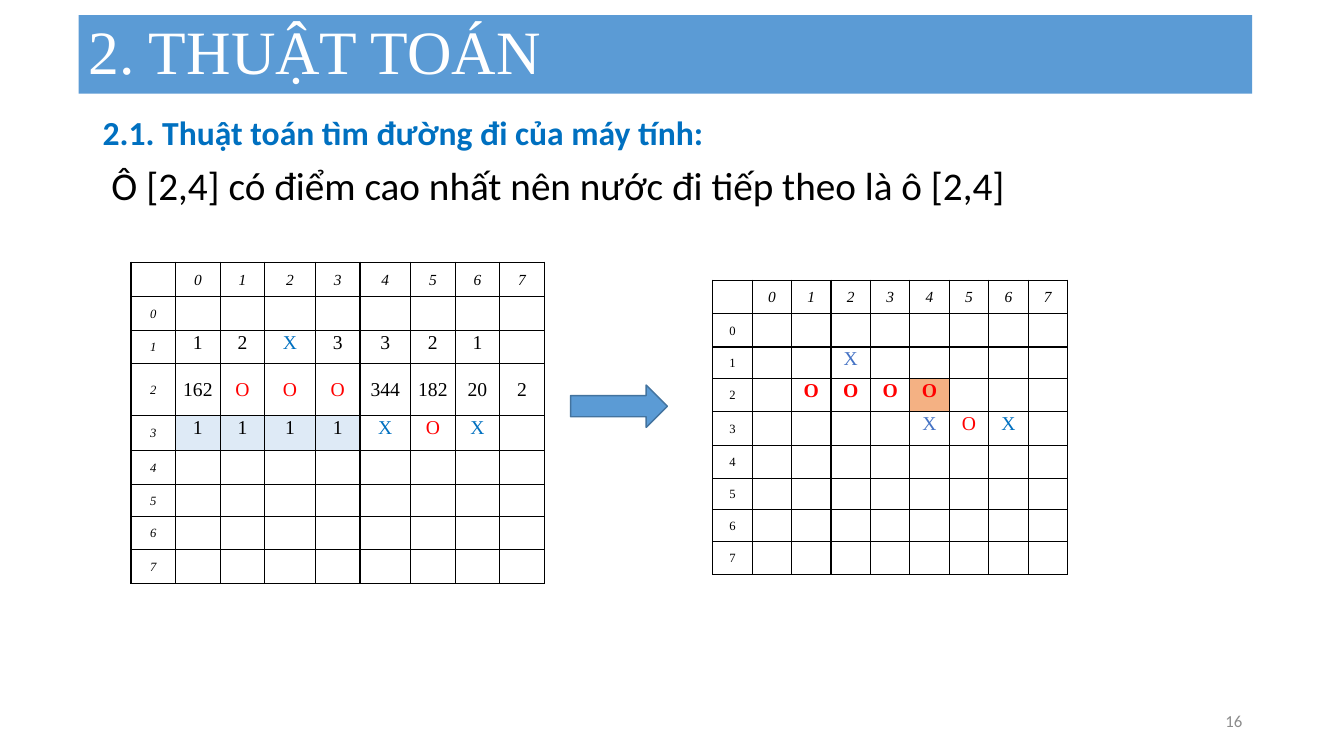
from lxml import etree
from pptx import Presentation
from pptx.dml.color import RGBColor as RGB
from pptx.enum.shapes import MSO_SHAPE as SHAPE
from pptx.enum.text import MSO_ANCHOR as ANCHOR, PP_ALIGN as ALIGN
from pptx.oxml import parse_xml
from pptx.util import Inches, Pt

COLORS = {
    "bar": "5B9BD5", "arrow_line": "43739E", "heading": "0070C0",
    "text": "000000", "title": "FFFFFF", "number": "8C8C8C",
    "X": "0070C0", "O": "FF0000", "new_X": "4472C4",
    "scored": "DEEAF6", "chosen": "F4B183",
}
NS = "http://schemas.openxmlformats.org/drawingml/2006/main"

prs = Presentation()
prs.slide_width, prs.slide_height = Inches(13.333), Inches(7.5)
slide = prs.slides.add_slide(prs.slide_layouts[6])


def place(left, top, width, height):
    """Turn percentages of the slide's size into a position and size."""
    sides = (prs.slide_width, prs.slide_height) * 2
    return [int(side * share / 100) for side, share in zip(sides, (left, top, width, height))]


def write(p, text, size, color, name="Calibri", bold=False, italic=False):
    p.text = text
    p.font.size, p.font.name = Pt(size), name
    p.font.bold, p.font.italic = bold, italic
    p.font.color.rgb = RGB.from_string(COLORS[color])


# Title bar and arrow
title = slide.shapes.add_shape(SHAPE.RECTANGLE, *place(5.85, 2, 87.32, 10.4))
arrow = slide.shapes.add_shape(SHAPE.RIGHT_ARROW, *place(42.46, 50.93, 7.2, 5.6))
for sp in (title, arrow):
    sp.shadow.inherit = False
    sp.fill.solid()
    sp.fill.fore_color.rgb = RGB.from_string(COLORS["bar"])
title.line.fill.background()
arrow.line.color.rgb = RGB.from_string(COLORS["arrow_line"])
arrow.line.width = Pt(1)

tf = title.text_frame
tf.vertical_anchor = ANCHOR.MIDDLE
p = tf.paragraphs[0]
write(p, "2. THUẬT TOÁN", 44, "title", "Times New Roman")
p.alignment, p.line_spacing = ALIGN.LEFT, 0.9

# Heading and explanation
tf = slide.shapes.add_textbox(*place(6.9, 14.8, 86.27, 77.87)).text_frame
tf.word_wrap = True
heading, explanation = tf.paragraphs[0], tf.add_paragraph()
write(heading, "2.1. Thuật toán tìm đường đi của máy tính:", 24, "heading", bold=True)
write(explanation, " Ô [2,4] có điểm cao nhất nên nước đi tiếp theo là ô [2,4]", 28, "text")
heading.alignment = ALIGN.JUSTIFY
for p in (heading, explanation):
    p.line_spacing, p.space_before = 0.9, Pt(10)

# Slide number
tf = slide.shapes.add_textbox(*place(70.67, 92.67, 22.5, 5.33)).text_frame
tf.word_wrap = True
tf.vertical_anchor = ANCHOR.MIDDLE
write(tf.paragraphs[0], "16", 12, "number")
tf.paragraphs[0].alignment = ALIGN.RIGHT

# Game boards: moves by row, columns 0 to 7; fills and colours by (row, column)
boards = [
    {
        "area": place(9.75, 34.67, 30.76, 42.53),
        "columns": [44, 44, 44, 50, 44, 50, 44, 44, 44],
        "rows": [34, 34, 32, 52, 34, 34, 32, 32, 34],
        "moves": {1: "1 2 X 3 3 2 1", 2: "162 O O O 344 182 20 2", 3: "1 1 1 1 X O X"},
        "fills": {(3, col): "scored" for col in range(4)},
        "colors": {}, "italic_rows": True, "middle_row": 2, "bold_row": None,
    },
    {
        "area": place(53.04, 37.07, 26.41, 38.93),
        "columns": [39] * 9,
        "rows": [33, 33, 31, 33, 33, 33, 31, 31, 33],
        "moves": {1: "- - X", 2: "- O O O O", 3: "- - - - X O X"},
        "fills": {(2, 4): "chosen"},
        "colors": {(1, 2): "new_X", (3, 4): "new_X"},
        "italic_rows": False, "middle_row": None, "bold_row": 2,
    },
]

for board in boards:
    left, top, width, height = board["area"]
    table = slide.shapes.add_table(9, 9, left, top, width, height).table
    table.first_row = table.horz_banding = False
    for column, share in zip(table.columns, board["columns"]):
        column.width = int(width * share / sum(board["columns"]))
    for row, share in zip(table.rows, board["rows"]):
        row.height = int(height * share / sum(board["rows"]))

    for i in range(9):
        for j in range(9):
            spot = row, col = i - 1, j - 1
            cell = table.cell(i, j)
            cell.margin_left = cell.margin_right = Inches(0.07)
            cell.margin_top = cell.margin_bottom = 0
            label = row < 0 or col < 0
            if label:
                text = str(max(row, col)) if row != col else ""
                size = 11 if row < 0 else 9
            else:
                moves = dict(enumerate(board["moves"].get(row, "").split()))
                text = moves.get(col, "").replace("-", "")
                size = 14 if text else 9
            middle = label or row == board["middle_row"]
            cell.vertical_anchor = ANCHOR.MIDDLE if middle else ANCHOR.TOP

            p = cell.text_frame.paragraphs[0]
            color = board["colors"].get(spot, text if text in COLORS else "text")
            write(p, text, size, color, "Times New Roman",
                  bold=not label and row == board["bold_row"],
                  italic=row < 0 or (label and board["italic_rows"]))
            p.alignment, p.line_spacing, p.space_after = ALIGN.CENTER, 1.07, Pt(8)
            if not text:
                etree.SubElement(p._p, f"{{{NS}}}endParaRPr", sz=str(size * 100))

            for side in "LRTB":
                cell._tc.get_or_add_tcPr().append(parse_xml(
                    f'<a:ln{side} xmlns:a="{NS}" w="12700"><a:solidFill>'
                    f'<a:srgbClr val="{COLORS["text"]}"/></a:solidFill></a:ln{side}>'))
            if spot in board["fills"]:
                cell.fill.solid()
                cell.fill.fore_color.rgb = RGB.from_string(COLORS[board["fills"][spot]])
            else:
                cell.fill.background()

prs.save("out.pptx")
